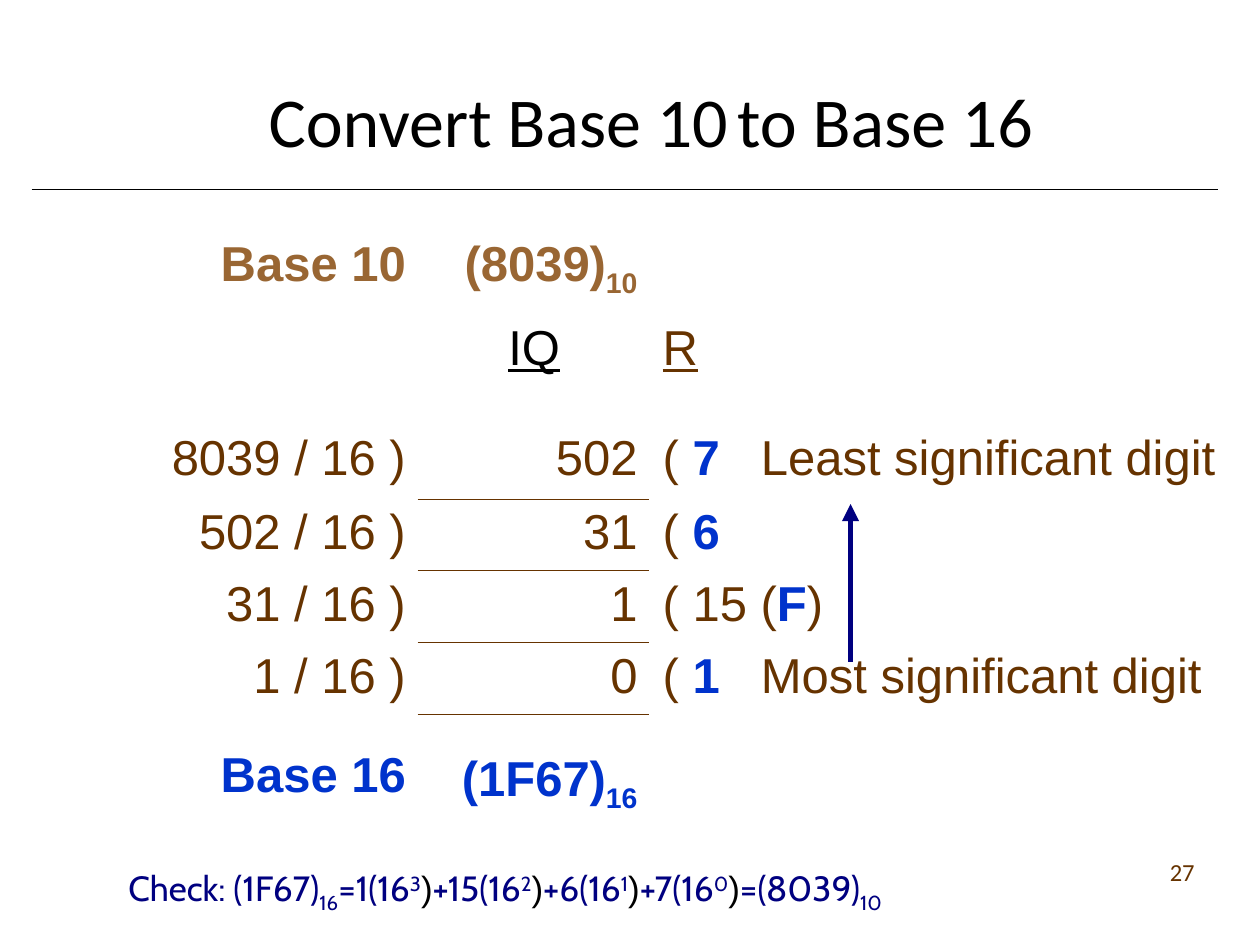
import pptx
import pptx.util
import pptx.dml.color
import pptx.enum.shapes
import pptx.enum.text
import pptx.oxml
import pptx.oxml.ns

Inches, Pt = pptx.util.Inches, pptx.util.Pt
qn = pptx.oxml.ns.qn
ALIGN = pptx.enum.text.PP_ALIGN
LEFT, MID, RIGHT = ALIGN.LEFT, ALIGN.CENTER, ALIGN.RIGHT

# Content: a text is a list of (words, format) runs
HEX = {"ink": "000000", "tan": "996633", "brown": "663300",
       "blue": "0033CC", "navy": "000080"}
SUB, SUP = {"base": -25}, {"base": 30}
KEY = {"color": "blue", "bold": True}
TAN = {"color": "tan", "bold": True}

TITLE = [("Convert Base 10", {}), (" ", SUB), ("to Base 16", {})]
ROWS = [
    [[("Base 10", TAN)], [("(8039)", TAN), ("10", TAN | SUB)], []],
    [[], [("IQ", {"color": "ink", "under": True})], [("R", {"under": True})]],
    [[("8039 / 16 )", {})], [("502", {})],
     [("( ", {}), ("7", KEY), ("\tLeast significant digit", {})]],
    [[("502 / 16 )", {})], [("31", {})], [("( ", {}), ("6", KEY)]],
    [[("31 / 16 )", {})], [("1", {})],
     [("( 15 (", {}), ("F", KEY), (")", {})]],
    [[("1 / 16 )", {})], [("0", {})],
     [("( ", {}), ("1", KEY), ("\tMost significant digit", {})]],
    [[("Base 16", KEY)], [("(1F67)", KEY), ("16", KEY | SUB)], []],
]
WIDTHS = [2.17, 1.84, 4.6]
HEIGHTS = [0.67, 0.66, 0.8, 0.57, 0.57, 0.57, 0.92]
TALL = (2, 6)          # rows with 1.5 line spacing
RULED = range(2, 6)    # rows with a line under the quotient
TERMS = [("=1(16", "3"), ("+15(16", "2"), ("+6(16", "1"), ("+7(16", "0")]


def put(frame, runs, align=LEFT, space=None, **base):
    """Write runs into the first paragraph; each run may change the format."""
    par = frame.paragraphs[0]
    par.alignment = align
    if space:
        par.line_spacing = space
    for words, more in runs:
        fmt = base | more
        run = par.add_run()
        run.text = words
        font = run.font
        font.name, font.size = fmt["face"], Pt(fmt["size"])
        font.bold = fmt.get("bold", False)
        font.underline = fmt.get("under", False)
        font.color.rgb = pptx.dml.color.RGBColor.from_string(HEX[fmt["color"]])
        if "base" in fmt:
            run._r.get_or_add_rPr().set("baseline", str(fmt["base"] * 1000))
    return par


def box(slide, left, top, wide, high):
    frame = slide.shapes.add_textbox(*map(Inches, (left, top, wide, high))).text_frame
    frame.word_wrap = True
    return frame


def draw(slide, start, end, color, width, head=False):
    line = slide.shapes.add_connector(
        pptx.enum.shapes.MSO_CONNECTOR.STRAIGHT, *map(Inches, start + end))
    line.line.color.rgb = pptx.dml.color.RGBColor.from_string(HEX[color])
    line.line.width = Pt(width)
    if head:
        pptx.oxml.ns.qn
        tip = line.line._get_or_add_ln().makeelement(qn("a:tailEnd"), {"type": "triangle"})
        line.line._get_or_add_ln().append(tip)
    props = line._element.spPr
    props.append(props.makeelement(qn("a:effectLst"), {}))


def edge(cell, side):
    """Add a thin brown border; call for the bottom before the top."""
    props = cell._tc.get_or_add_tcPr()
    props.insert(0, pptx.oxml.parse_xml(
        f'<a:{side} xmlns:a="http://schemas.openxmlformats.org/drawingml/2006/main"'
        f' w="{Pt(0.45)}"><a:solidFill><a:srgbClr val="{HEX["brown"]}"/>'
        f'</a:solidFill></a:{side}>'))


def add_tab(par, spot):
    props = par._p.get_or_add_pPr()
    tabs = props.makeelement(qn("a:tabLst"), {})
    tabs.append(tabs.makeelement(qn("a:tab"), {"pos": str(Inches(spot)), "algn": "l"}))
    props.append(tabs)


def main():
    deck = pptx.Presentation()
    deck.slide_width, deck.slide_height = Inches(10), Inches(7.5)
    slide = deck.slides.add_slide(deck.slide_layouts[5])

    # Title and rule
    draw(slide, (0.25, 1.5), (9.67, 1.5), "ink", 0.5)
    title = slide.shapes.title
    title.left, title.top = Inches(0.83), Inches(0.17)
    title.width, title.height = Inches(8.67), Inches(1.25)
    title.text_frame.auto_size = pptx.enum.text.MSO_AUTO_SIZE.NONE
    title.text_frame.vertical_anchor = pptx.enum.text.MSO_ANCHOR.BOTTOM
    put(title.text_frame, TITLE, MID, face="Calibri", size=40, color="ink")

    # Division table
    table = slide.shapes.add_table(
        len(ROWS), len(WIDTHS), Inches(1.15), Inches(1.83),
        Inches(sum(WIDTHS)), Inches(sum(HEIGHTS))).table
    table.first_row = table.horz_banding = False
    for col, wide in zip(table.columns, WIDTHS):
        col.width = Inches(wide)
    for r, row in enumerate(ROWS):
        table.rows[r].height = Inches(HEIGHTS[r])
        for c, runs in enumerate(row):
            cell = table.cell(r, c)
            cell.fill.background()
            align = LEFT if c == 2 else MID if r == 1 else RIGHT
            par = put(cell.text_frame, runs, align, 1.5 if r in TALL else None,
                      face="Arial", size=28, color="brown")
            if any("\t" in words for words, _ in runs):
                add_tab(par, 0.78)
            if c == 1 and r in RULED:
                edge(cell, "lnB")
            if c == 1 and r - 1 in RULED:
                edge(cell, "lnT")

    # Reading order of the digits
    draw(slide, (6.75, 5.25), (6.75, 4), "navy", 3.25, head=True)

    # Check line
    check = [("Check: (1F67)", {}), ("16", SUB)]
    for term, power in TERMS:
        check += [(term, {}), (power, SUP), (")", {"face": "Arial", "color": "ink"})]
    check += [("=(8039)", {}), ("10", SUB)]
    put(box(slide, 0.92, 6.83, 8.08, 0.48), check, face="Cabin", size=20, color="navy")

    # Slide number
    put(box(slide, 7.5, 6.75, 2.08, 0.5), [("27", {})], RIGHT,
        face="Calibri", size=14, color="brown")

    deck.save("out.pptx")


if __name__ == "__main__":
    main()
